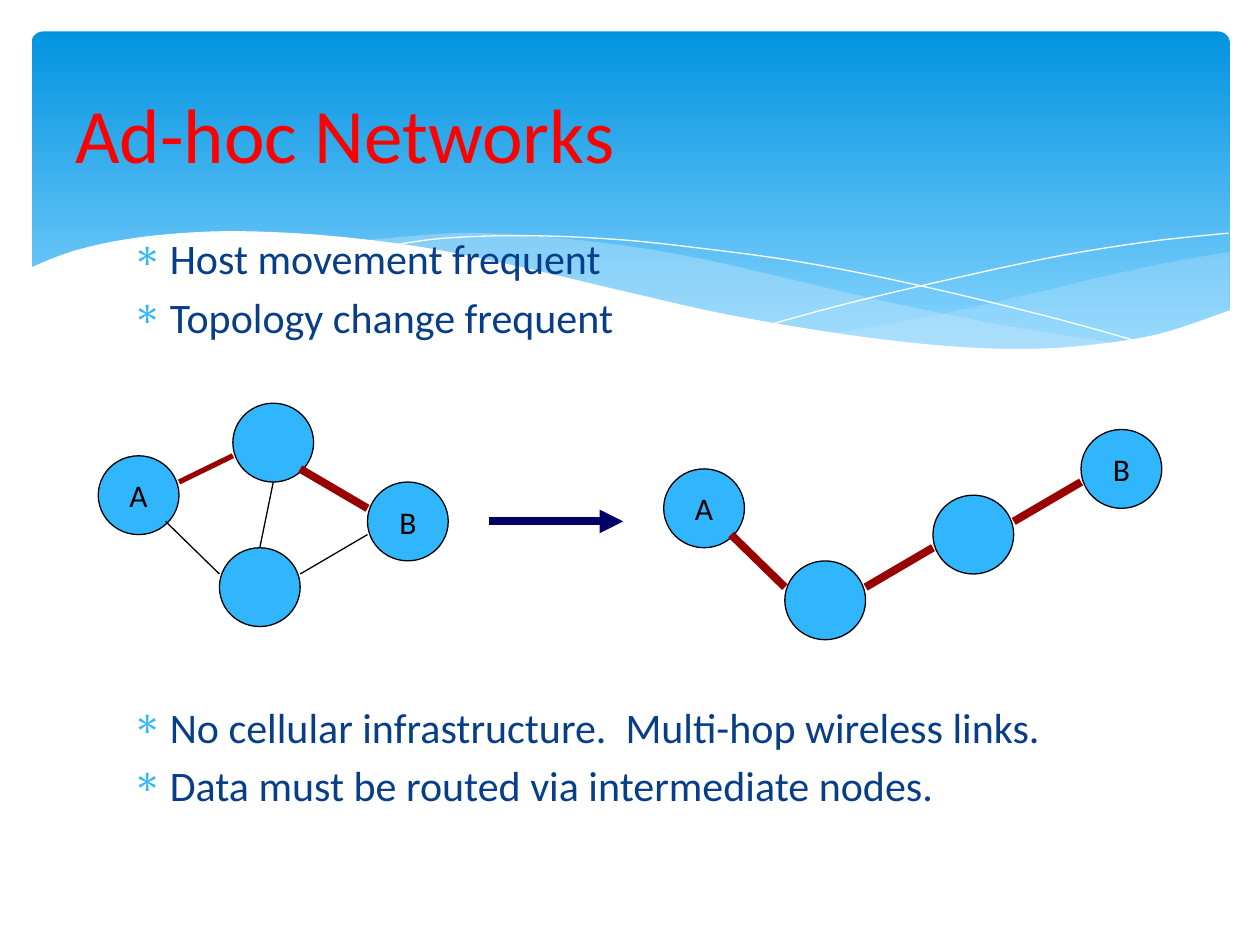
from dataclasses import dataclass

from lxml import etree
from pptx import Presentation, util as u
from pptx.dml.color import RGBColor
from pptx.enum import shapes, text
from pptx.oxml.ns import qn


@dataclass(frozen=True)
class Theme:
    font: str = "Calibri"
    title_size: int = 44
    body_size: int = 24
    node_size: int = 18
    title: str = "FF0000"
    body: str = "073E87"
    accent: str = "31B6FD"
    sky_top: str = "0293E0"
    sky_bottom: str = "83D3FE"
    mist: str = "C6E7FC"
    paper: str = "FFFFFF"
    ink: str = "000000"
    route: str = "990000"
    arrow: str = "000066"


THEME = Theme()
WIDTH, HEIGHT = u.Inches(10), u.Inches(7.5)

# Diagram grid: every node spans six columns and six rows.
LEFT, TOP = 0.78, 3.2
COLUMN, ROW = 7.8 / 73, 1.46 / 14
NODE_SPAN = 6

NODES = [  # column, row, label
    (0, 4, "A"), (10, 0, ""), (9, 11, ""), (20, 6, "B"),
    (42, 5, "A"), (73, 2, "B"), (51, 12, ""), (62, 7, ""),
]
PLAIN_LINKS = [((13, 6), (12, 11)), ((15, 13), (20, 10)), ((5, 9), (9, 13))]
ROUTE_LINKS = [
    ((15, 5), (20, 8)), ((47, 10), (51, 14)),
    ((57, 14), (62, 11)), ((68, 9), (73, 6)),
]

# Waves, in inches: each is a chain of smooth curves through a few knots.
RIGHT_MIST = [
    [(9.76, 2), (9.35, 2.07), (8.91, 2.16), (8.32, 2.3), (7.53, 2.48), (6.61, 2.65)],
    [(6.61, 2.65), (7.19, 2.72), (7.69, 2.77), (8.24, 2.77), (8.72, 2.74),
     (9.21, 2.65), (9.76, 2.47)],
]
MIDDLE_MIST = [
    [(8.93, 2.73), (8.07, 2.6), (7.06, 2.4), (6.29, 2.22), (5.55, 2.05),
     (4.89, 1.94), (4.2, 1.87), (3.61, 1.85), (2.86, 1.91)],
    [(2.86, 1.91), (3.62, 2.03), (4.49, 2.22), (5.3, 2.4), (6.01, 2.55),
     (6.8, 2.68), (7.48, 2.76), (8.18, 2.78), (8.93, 2.73)],
]
FALLING_LINE = [[(3.09, 1.95), (3.53, 1.89), (4.16, 1.87), (4.89, 1.9), (5.56, 1.97),
                 (6.36, 2.08), (7.27, 2.26), (8.31, 2.51), (9.07, 2.72)]]
RISING_LINE = [[(6.13, 2.57), (6.72, 2.41), (7.48, 2.23), (8.36, 2.04),
                (9.1, 1.92), (9.75, 1.85)]]
PAPER_WAVE = [
    [(9.77, 2.46), (9.2, 2.65), (8.63, 2.74), (8.09, 2.77), (7.44, 2.74),
     (6.68, 2.65), (5.79, 2.5), (5.03, 2.33), (4.18, 2.13), (3.4, 1.97),
     (2.71, 1.88), (2.11, 1.84), (1.61, 1.84), (1.06, 1.89), (0.59, 1.99),
     (0.23, 2.13)],
    [(0.23, 3.29), (9.77, 3.29)],
]

BULLETS = [  # wording, points of space before
    ("Host movement frequent", 0),
    ("Topology change frequent", 4.5),
    ("No cellular infrastructure.  Multi-hop wireless links.", 205.5),
    ("Data must be routed via intermediate nodes.", 4.5),
]


def colour(value):
    return RGBColor.from_string(value)


def smooth(knots, steps=6):
    """Points of a Catmull-Rom curve through the knots."""
    if len(knots) < 3:
        return list(knots)
    padded = [knots[0], *knots, knots[-1]]
    points = [knots[0]]
    for before, start, end, after in zip(padded, padded[1:], padded[2:], padded[3:]):
        for step in range(1, steps + 1):
            t = step / steps
            points.append(tuple(
                (2 * b + (c - a) * t + (2 * a - 5 * b + 4 * c - d) * t ** 2
                 + (3 * b - a - 3 * c + d) * t ** 3) / 2
                for a, b, c, d in zip(before, start, end, after)))
    return points


def add_wave(slide, curves, fill=None, opacity=100):
    """A filled wave, or a hairline when no fill is given."""
    points = [(u.Inches(x), u.Inches(y)) for knots in curves for x, y in smooth(knots)]
    builder = slide.shapes.build_freeform(*points[0])
    builder.add_line_segments(points[1:], close=fill is not None)
    wave = builder.convert_to_shape()
    wave.shadow.inherit = False
    if fill is None:
        wave.fill.background()
        wave.line.color.rgb = colour(THEME.paper)
        wave.line.width = u.Pt(0)
        return
    wave.fill.solid()
    wave.fill.fore_color.rgb = colour(fill)
    wave.line.fill.background()
    if opacity < 100:
        tint = wave.fill._xPr.find(".//" + qn("a:srgbClr"))
        etree.SubElement(tint, qn("a:alpha"), val=str(opacity * 1000))


def add_sky(slide):
    sky = slide.shapes.add_shape(
        shapes.MSO_SHAPE.ROUNDED_RECTANGLE, int(WIDTH * 0.025), u.Inches(0.25),
        u.Inches(9.51), int(HEIGHT * 0.36))
    sky.adjustments[0] = 0.034
    sky.shadow.inherit = False
    sky.line.fill.background()
    sky.fill.gradient()
    sky.fill.gradient_angle = 270
    stops = zip(sky.fill.gradient_stops, (0, 0.9), (THEME.sky_top, THEME.sky_bottom))
    for stop, position, shade in stops:
        stop.position = position
        stop.color.rgb = colour(shade)


def add_run(paragraph, wording, size, shade):
    run = paragraph.add_run()
    run.text = wording
    run.font.name = THEME.font
    run.font.size = u.Pt(size)
    run.font.color.rgb = colour(shade)


def add_title(slide, wording):
    title = slide.shapes.add_textbox(
        int(WIDTH * 0.05), u.Inches(0.37), int(WIDTH * 0.9), u.Inches(1.37)).text_frame
    title.word_wrap = True
    title.vertical_anchor = text.MSO_ANCHOR.MIDDLE
    add_run(title.paragraphs[0], wording, THEME.title_size, THEME.title)


def add_bullets(slide, bullets):
    body = slide.shapes.add_textbox(
        int(WIDTH * 0.095), int(HEIGHT * 0.24), int(WIDTH * 0.81), u.Inches(4.9)).text_frame
    body.word_wrap = True
    for index, (wording, space) in enumerate(bullets):
        paragraph = body.add_paragraph() if index else body.paragraphs[0]
        layout = paragraph._p.get_or_add_pPr()
        layout.set("marL", str(u.Inches(0.3)))
        layout.set("indent", str(-u.Inches(0.3)))
        tint = etree.SubElement(layout, qn("a:buClr"))
        etree.SubElement(tint, qn("a:srgbClr"), val=THEME.accent)
        etree.SubElement(layout, qn("a:buChar"), char="∗")
        if space:
            paragraph.space_before = u.Pt(space)
        add_run(paragraph, wording, THEME.body_size, THEME.body)


def grid(column, row):
    return u.Inches(LEFT + column * COLUMN), u.Inches(TOP + row * ROW)


def add_node(slide, column, row, label):
    node = slide.shapes.add_shape(
        shapes.MSO_SHAPE.OVAL, *grid(column, row),
        u.Inches(NODE_SPAN * COLUMN), u.Inches(NODE_SPAN * ROW))
    node.shadow.inherit = False
    node.fill.solid()
    node.fill.fore_color.rgb = colour(THEME.accent)
    node.line.color.rgb = colour(THEME.ink)
    node.line.width = u.Pt(0.75)
    if label:
        node.text_frame.word_wrap = False
        node.text_frame.vertical_anchor = text.MSO_ANCHOR.MIDDLE
        paragraph = node.text_frame.paragraphs[0]
        paragraph.alignment = text.PP_ALIGN.CENTER
        add_run(paragraph, label, THEME.node_size, THEME.ink)


def add_link(slide, start, end, shade, weight, arrow=False):
    link = slide.shapes.add_connector(
        shapes.MSO_CONNECTOR.STRAIGHT, *grid(*start), *grid(*end))
    link.line.color.rgb = colour(shade)
    link.line.width = u.Pt(weight)
    if arrow:
        etree.SubElement(link.line._get_or_add_ln(), qn("a:tailEnd"), type="triangle")
    etree.SubElement(link._element.spPr, qn("a:effectLst"))


def main():
    deck = Presentation()
    deck.slide_width, deck.slide_height = WIDTH, HEIGHT
    slide = deck.slides.add_slide(deck.slide_layouts[6])
    add_sky(slide)
    add_wave(slide, RIGHT_MIST, THEME.mist, 29)
    add_wave(slide, MIDDLE_MIST, THEME.mist, 40)
    add_wave(slide, FALLING_LINE)
    add_wave(slide, RISING_LINE)
    add_wave(slide, PAPER_WAVE, THEME.paper)
    add_title(slide, "Ad-hoc Networks")
    add_bullets(slide, BULLETS)
    for node in NODES:
        add_node(slide, *node)
    for link in PLAIN_LINKS:
        add_link(slide, *link, THEME.ink, 0.75)
    add_link(slide, (6, 6), (10, 4), THEME.route, 3)
    for link in ROUTE_LINKS:
        add_link(slide, *link, THEME.route, 4.5)
    add_link(slide, (29, 9), (39, 9), THEME.arrow, 4.5, arrow=True)
    deck.save("out.pptx")


if __name__ == "__main__":
    main()
